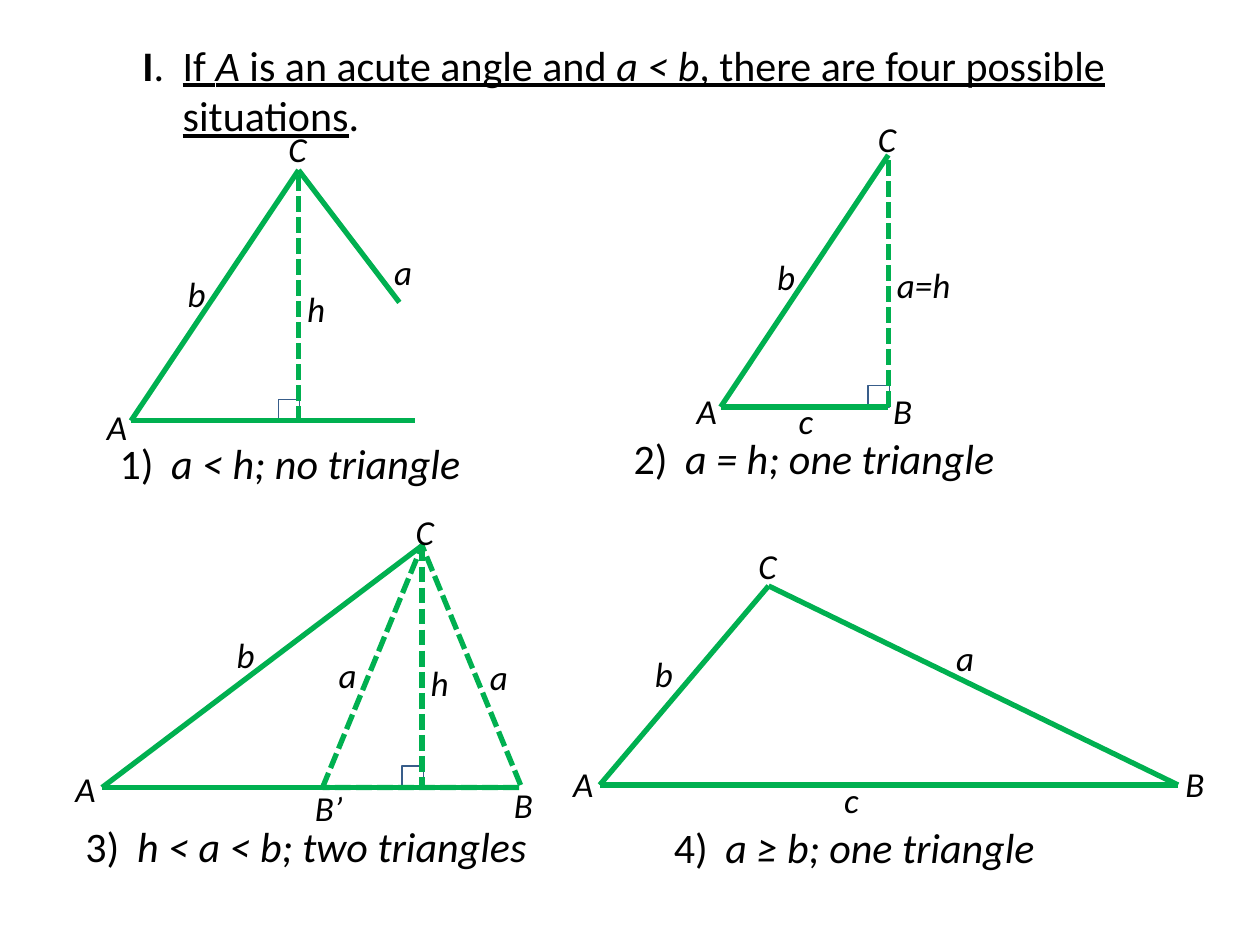
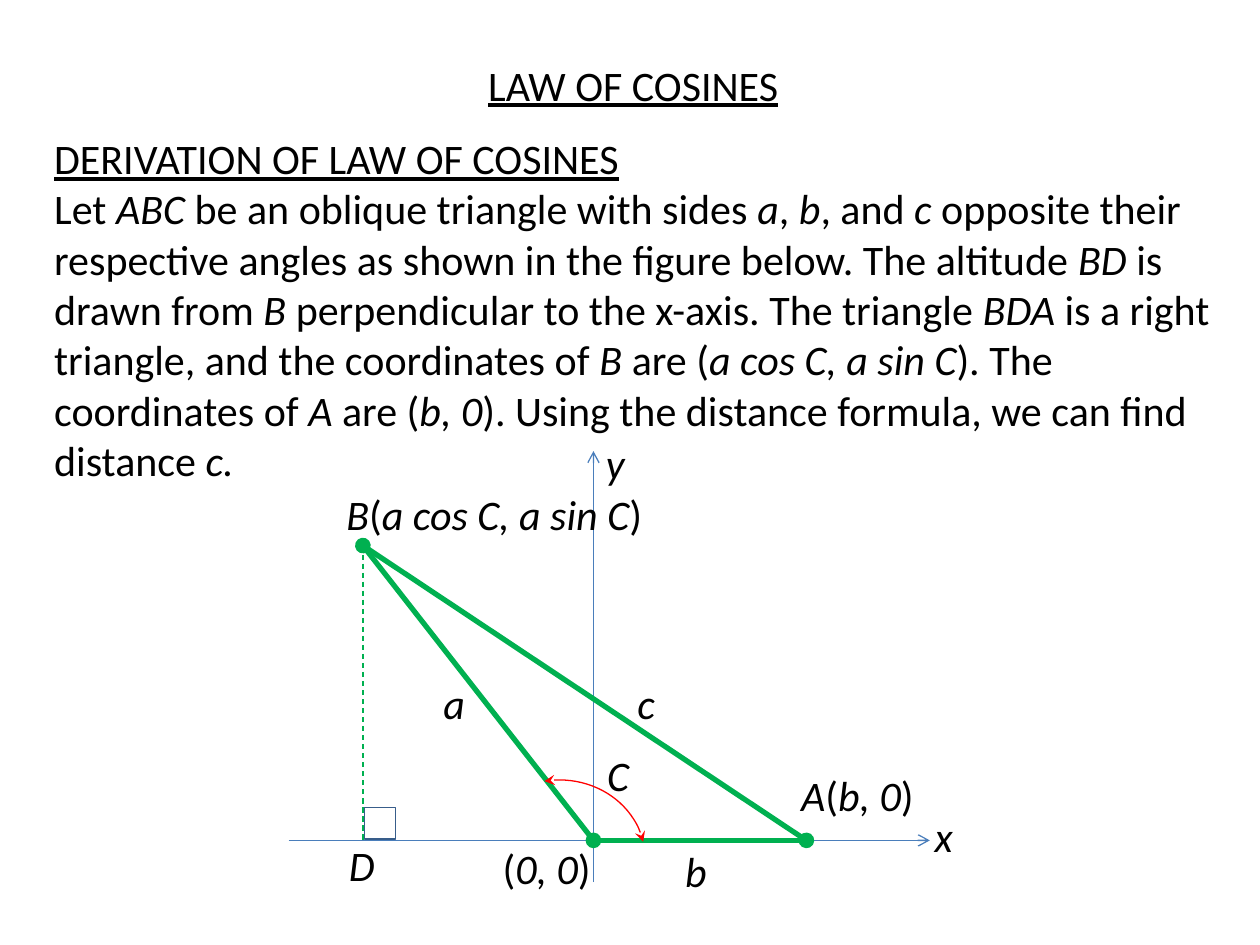
from lxml import etree
from pptx import Presentation
from pptx.dml.color import RGBColor
from pptx.enum.dml import MSO_LINE
from pptx.enum.shapes import MSO_CONNECTOR, MSO_SHAPE
from pptx.enum.text import MSO_ANCHOR, MSO_AUTO_SIZE, PP_ALIGN
from pptx.oxml.ns import qn
from pptx.util import Inches, Pt

BLACK = RGBColor(0x00, 0x00, 0x00)
WHITE = RGBColor(0xFF, 0xFF, 0xFF)
GREEN = RGBColor(0x00, 0xB0, 0x50)
AXIS_BLUE = RGBColor(0x4A, 0x7E, 0xBB)
CORNER_BLUE = RGBColor(0x38, 0x5D, 0x8A)
RED = RGBColor(0xFF, 0x00, 0x00)

FONT = "Calibri"
TEXT_SIZE = 24
LABEL_SIZE = 20
SIDE_WIDTH = 3
THIN_WIDTH = 0.75

STRAIGHT = MSO_CONNECTOR.STRAIGHT
RECTANGLE = MSO_SHAPE.RECTANGLE
TRIANGLE = MSO_SHAPE.ISOSCELES_TRIANGLE
ARC = MSO_SHAPE.ARC
SHORT_DASH = MSO_LINE.SQUARE_DOT
DASH = MSO_LINE.DASH
TOP = MSO_ANCHOR.TOP
LEFT, CENTER = PP_ALIGN.LEFT, PP_ALIGN.CENTER
NO_AUTOFIT = MSO_AUTO_SIZE.NONE
GROW_WITH_TEXT = MSO_AUTO_SIZE.SHAPE_TO_FIT_TEXT

TITLE_AND_CONTENT, TITLE_ONLY = 1, 5

SIDE_LABEL_WIDTH = 0.34
SIDE_LABEL_WIDTHS = {"A": 0.36, "B": 0.35, "B’": 0.43, "c": 0.31, "a=h": 0.65}


def italic_runs(text):
    """Split text into (text, style) runs; parts between asterisks are italic."""
    parts = text.split("*")
    return [(part, "i" if index % 2 else "") for index, part in enumerate(parts) if part]


def add_runs(paragraph, runs, size=TEXT_SIZE):
    """Add (text, style) runs; style holds any of b, i and u."""
    for text, style in runs:
        run = paragraph.add_run()
        run.text = text
        font = run.font
        font.name, font.size = FONT, Pt(size)
        font.color.rgb = BLACK
        font.bold, font.italic, font.underline = (key in style for key in "biu")


def set_hanging_indent(paragraph, indent):
    properties = paragraph._p.get_or_add_pPr()
    properties.set("marL", str(Inches(indent)))
    properties.set("indent", str(-Inches(indent)))


def fill_placeholder(placeholder, box, paragraphs, alignment=LEFT, indent=0):
    placeholder.left, placeholder.top, placeholder.width, placeholder.height = map(Inches, box)
    frame = placeholder.text_frame
    frame.auto_size = NO_AUTOFIT
    frame.word_wrap = True
    frame.vertical_anchor = TOP
    for index, runs in enumerate(paragraphs):
        paragraph = frame.add_paragraph() if index else frame.paragraphs[0]
        paragraph.alignment = alignment
        paragraph.space_before = Pt(0)
        set_hanging_indent(paragraph, indent)
        etree.SubElement(paragraph._p.get_or_add_pPr(), qn("a:buNone"))
        add_runs(paragraph, runs)


def add_text(shapes, text, left, top, width, size=TEXT_SIZE, wrap=False):
    height = 0.5 if size == TEXT_SIZE else 0.44
    box = shapes.add_textbox(*map(Inches, (left, top, width, height)))
    box.text_frame.word_wrap = wrap
    box.text_frame.auto_size = GROW_WITH_TEXT
    paragraph = box.text_frame.paragraphs[0]
    add_runs(paragraph, italic_runs(text), size)
    return paragraph


def add_side_label(shapes, text, left, top):
    width = SIDE_LABEL_WIDTHS.get(text, SIDE_LABEL_WIDTH)
    add_text(shapes, f"*{text}*", left, top, width, LABEL_SIZE)


def add_caption(shapes, number, text, left, top, width):
    paragraph = add_text(shapes, f"{number})\t*{text}*", left, top, width, wrap=True)
    set_hanging_indent(paragraph, 0.41)


def style_line(shape, color, width, dash=None, head=None, tail=None):
    shape.line.color.rgb = color
    shape.line.width = Pt(width)
    if dash:
        shape.line.dash_style = dash
    outline = shape.element.spPr.find(qn("a:ln"))
    for tag, end in (("a:headEnd", head), ("a:tailEnd", tail)):
        if end:
            etree.SubElement(outline, qn(tag), type=end)


def add_line(shapes, start, end, color=GREEN, width=SIDE_WIDTH, **ends):
    line = shapes.add_connector(STRAIGHT, *map(Inches, (*start, *end)))
    style_line(line, color, width, **ends)
    etree.SubElement(line.element.spPr, qn("a:effectLst"))


def add_outline(shapes, kind, box, color, width, fill=None, **ends):
    shape = shapes.add_shape(kind, *map(Inches, box))
    shape.shadow.inherit = False
    if fill is None:
        shape.fill.background()
    else:
        shape.fill.solid()
        shape.fill.fore_color.rgb = fill
    style_line(shape, color, width, **ends)
    return shape


def add_right_angle(shapes, left, top, size=0.17, fill=None):
    add_outline(shapes, RECTANGLE, (left, top, size, size), CORNER_BLUE, THIN_WIDTH, fill)


def add_triangle_figure(slide, caption, solid, dashed, labels, corner=None, dashed_triangle=None):
    shapes = slide.shapes.add_group_shape().shapes
    if corner:
        add_right_angle(shapes, *corner)
    if dashed_triangle:
        add_outline(shapes, TRIANGLE, dashed_triangle, GREEN, SIDE_WIDTH, dash=SHORT_DASH)
    for start, end in solid:
        add_line(shapes, start, end)
    for start, end in dashed:
        add_line(shapes, start, end, dash=SHORT_DASH)
    for label in labels:
        add_side_label(shapes, *label)
    add_caption(shapes, *caption)


def build_acute_cases(presentation):
    slide = presentation.slides.add_slide(presentation.slide_layouts[TITLE_ONLY])
    heading = [("I", "b"), (".\t", ""), ("If ", "u"), ("A", "iu"),
               (" is an acute angle and ", "u"), ("a < b", "iu"),
               (", there are four possible situations", "u"), (".", "")]
    fill_placeholder(slide.shapes.title, (1.03, 0.26, 7.89, 0.9), [heading], indent=0.32)

    a, b, c, foot = (0.81, 6.25), (4, 6.25), (3.35, 4.33), (3.35, 6.25)
    add_triangle_figure(
        slide, (3, "h < a < b; two triangles", 0.58, 6.46, 3.78),
        solid=[(b, a), (a, c)], dashed=[(c, foot)],
        labels=[("h", 3.32, 5.2), ("A", 0.5, 6.04), ("a", 2.59, 5.14), ("a", 3.79, 5.15),
                ("b", 1.78, 4.98), ("B’", 2.4, 6.19), ("B", 3.98, 6.17), ("C", 3.2, 4)],
        corner=(3.19, 6.08), dashed_triangle=(2.56, 4.33, 1.58, 1.92))

    a, c, foot = (1.04, 3.34), (2.37, 1.35), (2.37, 3.35)
    add_triangle_figure(
        slide, (1, "a < h; no triangle", 0.85, 3.42, 2.91),
        solid=[(a, c), (c, (3.17, 2.4)), (a, (3.29, 3.34))], dashed=[(foot, c)],
        labels=[("h", 2.34, 2.23), ("b", 1.39, 2.11), ("C", 2.19, 0.96),
                ("A", 0.75, 3.17), ("a", 3.03, 1.94)],
        corner=(2.21, 3.17))

    a, b, c = (5.72, 3.23), (7.05, 3.23), (7.05, 1.23)
    add_triangle_figure(
        slide, (2, "a = h; one triangle", 4.93, 3.38, 3.07),
        solid=[(a, b), (a, c)], dashed=[(b, c)],
        labels=[("c", 6.24, 3.12), ("a=h", 7.02, 2.04), ("b", 6.07, 1.98),
                ("C", 6.87, 0.88), ("A", 5.43, 3.04), ("B", 6.99, 3.04)],
        corner=(6.89, 3.06))

    a, b, c = (4.76, 6.23), (9.35, 6.23), (6.1, 4.65)
    add_triangle_figure(
        slide, (4, "a ≥ b; one triangle", 5.25, 6.47, 3.07),
        solid=[(a, b), (a, c), (c, b)], dashed=[],
        labels=[("C", 5.92, 4.27), ("c", 6.6, 6.13), ("b", 5.1, 5.13),
                ("a", 7.49, 5), ("A", 4.45, 6), ("B", 9.31, 6)])


def add_angle_arc(shapes):
    arc = add_outline(shapes, ARC, (3.76, 6.19, 1.36, 1.24), RED, THIN_WIDTH,
                      head="stealth", tail="stealth")
    # Arc angles are stored in 60000ths of a degree, adjustments in 100000ths.
    for index, degrees in enumerate((259, 349)):
        arc.adjustments[index] = degrees * 0.6


def build_law_of_cosines(presentation):
    slide = presentation.slides.add_slide(presentation.slide_layouts[TITLE_AND_CONTENT])
    fill_placeholder(slide.shapes.title, (2.19, 0.42, 5.67, 0.5),
                     [[("LAW OF COSINES", "u")]], CENTER)
    derivation = (
        "Let *ABC* be an oblique triangle with sides *a*, *b*, and *c* opposite their "
        "respective angles as shown in the figure below. The altitude *BD* is drawn from *B* "
        "perpendicular to the x-axis. The triangle *BDA* is a right triangle, and the "
        "coordinates of *B* are (*a cos C, a sin C*). The coordinates of *A* are (*b, 0*). "
        "Using the distance formula, we can find distance *c.*")
    fill_placeholder(slide.placeholders[1], (0.33, 1, 9.5, 2.92),
                     [[("DERIVATION OF LAW OF COSINES", "u")], italic_runs(derivation)])

    shapes = slide.shapes.add_group_shape().shapes
    origin, a, b, d = (4.71, 6.67), (6.4, 6.67), (2.88, 4.33), (2.88, 6.67)
    for start, end in (((2.29, 6.67), (7.38, 6.67)), ((4.71, 7), (4.71, 3.58))):
        add_line(shapes, start, end, AXIS_BLUE, THIN_WIDTH, tail="arrow")
    for start, end in ((origin, a), (a, b), (b, origin)):
        add_line(shapes, start, end, head="oval")
    add_angle_arc(shapes)
    for label in (("*C*", 4.72, 5.9, 0.37), ("*A*(*b, 0*)", 6.26, 6.06, 1.13),
                  ("*B*(*a cos C, a sin C*)", 2.65, 3.83, 2.57),
                  ("(*0, 0*)", 3.89, 6.64, 0.92), ("*c*", 4.96, 5.33, 0.34),
                  ("*a*", 3.42, 5.33, 0.37), ("*b*", 5.34, 6.66, 0.37),
                  ("*D*", 2.67, 6.61, 0.4), ("*x*", 7.32, 6.38, 0.34),
                  ("*y*", 4.71, 3.42, 0.35)):
        add_text(shapes, *label)
    add_line(shapes, b, d, width=THIN_WIDTH, dash=DASH)
    add_right_angle(shapes, 2.89, 6.41, 0.25, WHITE)


def main():
    presentation = Presentation()
    presentation.slide_width, presentation.slide_height = Inches(10), Inches(7.5)
    build_acute_cases(presentation)
    build_law_of_cosines(presentation)
    presentation.save("out.pptx")


if __name__ == "__main__":
    main()
